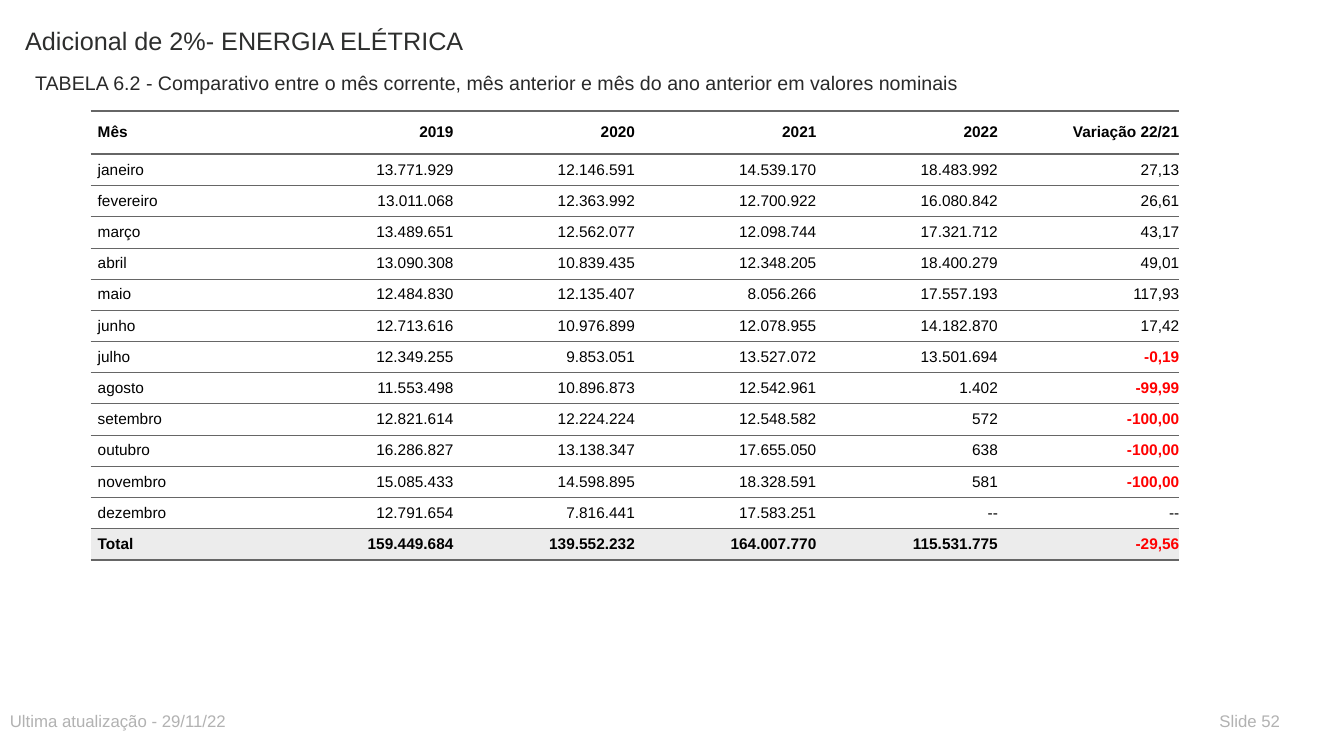
from lxml.etree import SubElement
from pptx import Presentation
from pptx.dml.color import RGBColor
from pptx.enum.text import MSO_ANCHOR, MSO_AUTO_SIZE, PP_ALIGN
from pptx.oxml.ns import qn
from pptx.util import Pt

HEADER = ["Mês", "2019", "2020", "2021", "2022", "Variação 22/21"]
MONTHS = [
    ["janeiro", "13.771.929", "12.146.591", "14.539.170", "18.483.992", "27,13"],
    ["fevereiro", "13.011.068", "12.363.992", "12.700.922", "16.080.842", "26,61"],
    ["março", "13.489.651", "12.562.077", "12.098.744", "17.321.712", "43,17"],
    ["abril", "13.090.308", "10.839.435", "12.348.205", "18.400.279", "49,01"],
    ["maio", "12.484.830", "12.135.407", "8.056.266", "17.557.193", "117,93"],
    ["junho", "12.713.616", "10.976.899", "12.078.955", "14.182.870", "17,42"],
    ["julho", "12.349.255", "9.853.051", "13.527.072", "13.501.694", "-0,19"],
    ["agosto", "11.553.498", "10.896.873", "12.542.961", "1.402", "-99,99"],
    ["setembro", "12.821.614", "12.224.224", "12.548.582", "572", "-100,00"],
    ["outubro", "16.286.827", "13.138.347", "17.655.050", "638", "-100,00"],
    ["novembro", "15.085.433", "14.598.895", "18.328.591", "581", "-100,00"],
    ["dezembro", "12.791.654", "7.816.441", "17.583.251", "--", "--"],
]
TOTAL = ["Total", "159.449.684", "139.552.232", "164.007.770", "115.531.775", "-29,56"]


def add_run(p, text, size, color, bold=False):
    r = p.add_run()
    r.text = text
    r.font.name = "Arial"
    r.font.size = Pt(size)
    r.font.bold = bold
    r.font.color.rgb = RGBColor.from_string(color)


def add_border(cell, side, width):
    ln = SubElement(cell._tc.get_or_add_tcPr(), qn(f"a:{side}"), w=str(Pt(width)))
    fill = SubElement(ln, qn("a:solidFill"))
    SubElement(fill, qn("a:srgbClr"), val="666666")


prs = Presentation()
prs.slide_width, prs.slide_height = Pt(960), Pt(540)
s = prs.slides.add_slide(prs.slide_layouts[5])

# Title, subtitle and footer texts
texts = [
    ("Adicional de 2%- ENERGIA ELÉTRICA", 10.8, 14.4, 576, 42.5, 18, "2D2E2D"),
    ("TABELA 6.2 - Comparativo entre o mês corrente, mês anterior e mês do ano "
     "anterior em valores nominais", 18, 46.8, 720, 21.6, 14, "292929"),
    ("Ultima atualização - 29/11/22", 0, 504, 468, 21.6, 12, "B2B2B2"),
    ("Slide 52", 864, 504, 64.8, 21.6, 12, "B2B2B2"),
]
for i, (text, x, y, w, h, size, color) in enumerate(texts):
    sp = s.shapes.title if i == 0 else s.shapes.add_textbox(0, 0, 0, 0)
    sp.left, sp.top, sp.width, sp.height = Pt(x), Pt(y), Pt(w), Pt(h)
    tf = sp.text_frame
    tf.word_wrap = True
    tf.auto_size = MSO_AUTO_SIZE.NONE
    tf.vertical_anchor = MSO_ANCHOR.TOP
    p = tf.paragraphs[0]
    p.alignment = PP_ALIGN.LEFT
    add_run(p, text, size, color)

# Monthly table, without a banded style
rows = [HEADER, *MONTHS, TOTAL]
last = len(rows) - 1
heights = [31] + [22.3] * last
frame = s.shapes.add_table(len(rows), len(HEADER), Pt(64.8), Pt(79.2),
                           Pt(129.6 * len(HEADER)), Pt(sum(heights)))
table = frame.table
table.first_row = table.horz_banding = False
table._tbl.tblPr.find(qn("a:tableStyleId")).text = "{2D5ABB26-0587-4C30-8999-92F81FD0307C}"
for col in table.columns:
    col.width = Pt(129.6)

# Horizontal rules: heavy around the header and under the total
rules = [2, 2] + [0.5] * (last - 1) + [2]
for i, values in enumerate(rows):
    table.rows[i].height = Pt(heights[i])
    for j, value in enumerate(values):
        cell = table.cell(i, j)
        add_border(cell, "lnT", rules[i])
        add_border(cell, "lnB", rules[i + 1])
        cell.fill.solid()
        cell.fill.fore_color.rgb = RGBColor.from_string("ECECEC" if i == last else "FFFFFF")
        cell.margin_left = cell.margin_right = 0
        cell.margin_top = cell.margin_bottom = Pt(5)
        cell.vertical_anchor = MSO_ANCHOR.MIDDLE
        p = cell.text_frame.paragraphs[0]
        p.alignment = PP_ALIGN.RIGHT if j else PP_ALIGN.LEFT
        p._p.get_or_add_pPr().set("marL", str(Pt(5)))
        negative = value.startswith("-") and value != "--"
        add_run(p, value, 11, "FF0000" if negative else "000000",
                negative or i in (0, last))

prs.save("out.pptx")
